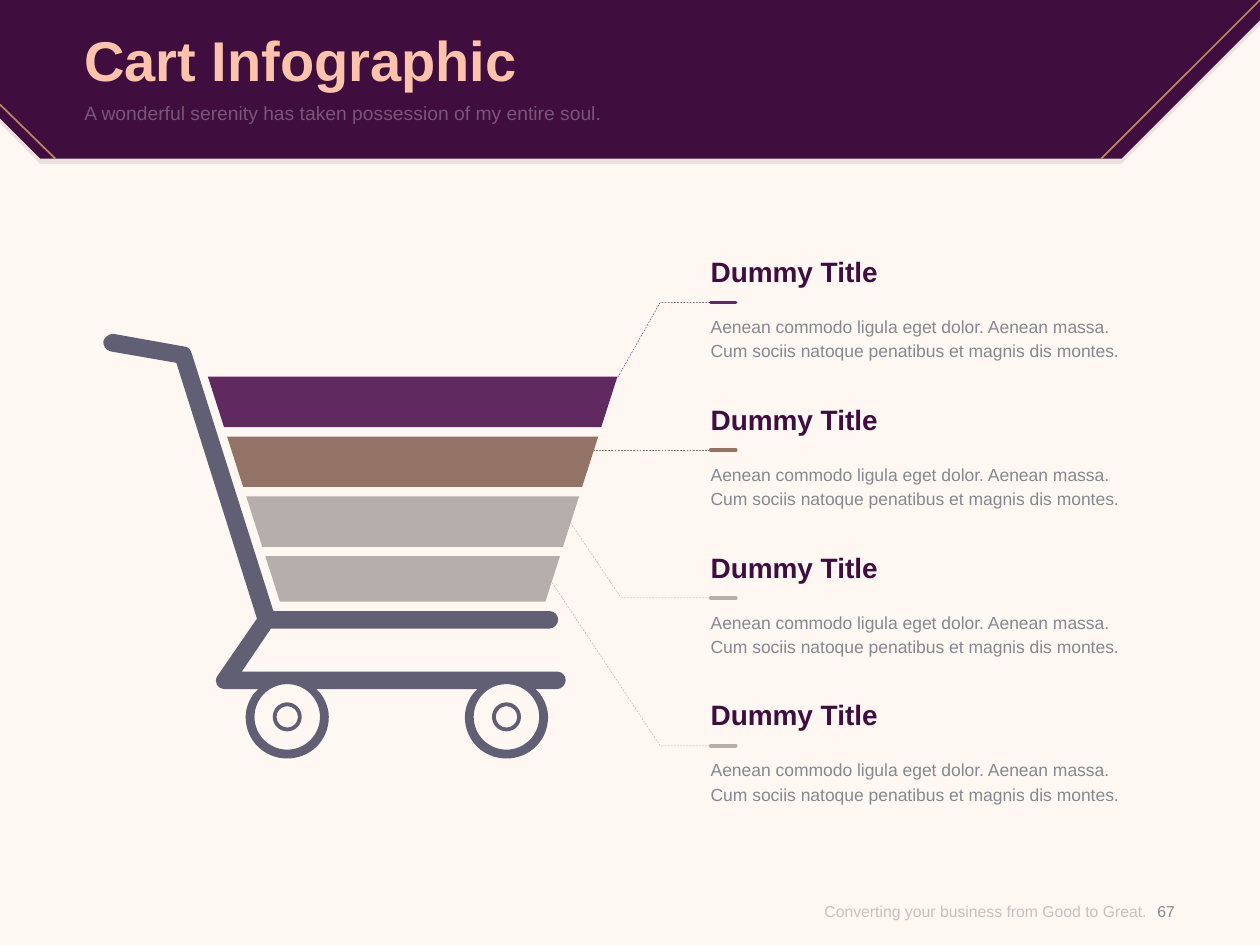
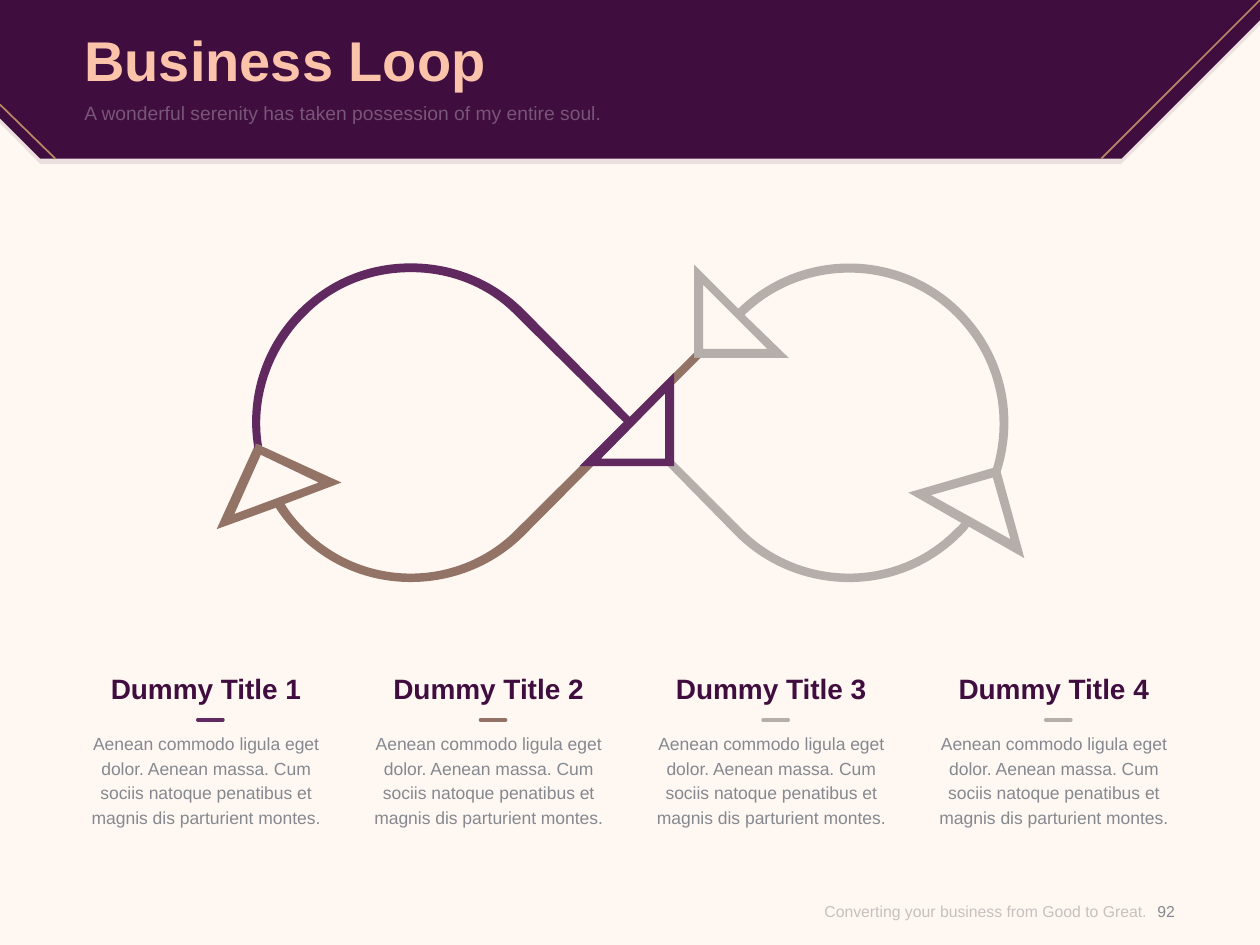
from lxml.etree import SubElement
from pptx import Presentation
from pptx.dml.color import RGBColor as Rgb
from pptx.enum.dml import MSO_LINE as Dash
from pptx.enum.shapes import MSO_CONNECTOR as Conn
from pptx.enum.text import MSO_ANCHOR as Anchor, PP_ALIGN as Align
from pptx.oxml.ns import qn
from pptx.util import Inches, Pt

HUES = {
    "back": "FFF7F2", "dark": "3F0D3E", "peach": "FBC4AA", "gold": "B98763",
    "plum": "602A60", "brown": "927365", "ash": "B6AEAB", "steel": "605F73",
    "text": "85898F", "foot": "8C8C8C", "white": "FFFFFF",
}
TONES = ["plum", "brown", "ash", "ash"]
MOTTO = "A wonderful serenity has taken possession of my entire soul."
SLOGAN = "Converting your business from Good to Great."


def hue(name):
    return Rgb.from_string(HUES[name])


def fade(node, share):
    """Set the opacity, in percent, of the first colour in a node."""
    SubElement(next(node.iter(qn("a:srgbClr"))), qn("a:alpha"), val=str(share * 1000))


def disc(x, y, r):
    """Circle of four curves, from its top."""
    k = 0.55 * r
    return [
        (x, y - r), (x - k, y - r, x - r, y - k, x - r, y),
        (x - r, y + k, x - k, y + r, x, y + r),
        (x + k, y + r, x + r, y + k, x + r, y),
        (x + r, y - k, x + k, y - r, x, y - r),
    ]


def rim(x):
    """Outer edge of the wheel at x, from left to right below the frame."""
    return [
        (x - 0.23, 5.47), (x - 0.29, 5.52, x - 0.33, 5.61, x - 0.33, 5.69),
        (x - 0.33, 5.88, x - 0.18, 6.02, x, 6.02),
        (x + 0.18, 6.02, x + 0.33, 5.88, x + 0.33, 5.69),
        (x + 0.33, 5.61, x + 0.29, 5.52, x + 0.23, 5.47),
    ]


class Deck:
    def __init__(self):
        self.prs = Presentation()
        self.prs.slide_width, self.prs.slide_height = Inches(10), Inches(7.5)
        fill = self.prs.slide_master.background.fill
        fill.solid()
        fill.fore_color.rgb = hue("back")
        self.slide = None

    def start(self, title, page):
        """Open a slide with its band, heading and footer."""
        self.slide = self.prs.slides.add_slide(self.prs.slide_layouts[6])
        # Header band over its pale shade
        for drop, share in ((0.04, 10), (0, 100)):
            band = [(8.9, 1.26), (0.32, 1.26), (0, 0.94), (0, 0), (10, 0), (10, 0.16)]
            self.area([[(x, y + drop) for x, y in band]], "dark", share)
        self.line((10, 0), (8.74, 1.26), "gold", 1)
        self.stroke([(0.44, 1.26), (0, 0.83)], "gold", 1)
        # Heading
        self.text((0.67, 0.14, 8.66, 0.65), [title], 32, "peach", bold=True,
                  anchor=Anchor.MIDDLE)
        self.text((0.67, 0.8, 8.66, 0.39), [MOTTO], 11, "white", share=30)
        # Footer
        self.text((6.04, 6.96, 3.06, 0.54), [SLOGAN], 9, "foot", Align.RIGHT,
                  share=50, anchor=Anchor.MIDDLE)
        self.text((9.02, 6.96, 0.47, 0.54), [str(page)], 9, "text", Align.CENTER,
                  anchor=Anchor.MIDDLE)

    def text(self, place, lines, size, tone, align=Align.LEFT, bold=False,
             share=100, anchor=Anchor.TOP, lead=None):
        frame = self.slide.shapes.add_textbox(*map(Inches, place)).text_frame
        frame.word_wrap, frame.vertical_anchor = True, anchor
        frame.margin_left = frame.margin_right = 0
        frame.margin_top = frame.margin_bottom = 0
        for i, words in enumerate(lines):
            para = frame.add_paragraph() if i else frame.paragraphs[0]
            para.alignment = align
            if lead:
                para.line_spacing = Pt(lead)
            run = para.add_run()
            run.text = words
            run.font.name, run.font.size, run.font.bold = "Arial", Pt(size), bold
            run.font.color.rgb = hue(tone)
            if share < 100:
                fade(run._r, share)

    def trace(self, rings, close):
        """Draw an outline; a step of two numbers is a line, of six a curve."""
        first = rings[0][0]
        pen = self.slide.shapes.build_freeform(Inches(first[0]), Inches(first[1]))
        for i, ring in enumerate(rings):
            if i:
                pen.move_to(*map(Inches, ring[0]))
            points = [(Inches(step[j]), Inches(step[j + 1]))
                      for step in ring[1:] for j in range(0, len(step), 2)]
            pen.add_line_segments(points, close=close)
        shape = pen.convert_to_shape()
        shape.shadow.inherit = False
        # Join each curve's three points into one step
        nodes = iter(list(shape.element.iter(qn("a:lnTo"))))
        for step in (step for ring in rings for step in ring[1:]):
            node = next(nodes)
            if len(step) == 6:
                node.tag = qn("a:cubicBezTo")
                for extra in (next(nodes), next(nodes)):
                    node.append(extra[0])
                    extra.getparent().remove(extra)
        return shape

    def area(self, rings, tone, share=100):
        shape = self.trace(rings, True)
        shape.fill.solid()
        shape.fill.fore_color.rgb = hue(tone)
        shape.line.fill.background()
        if share < 100:
            fade(shape.element, share)

    def stroke(self, points, tone, width, dash=None):
        """Open line through the points."""
        shape = self.trace([points], False)
        shape.fill.background()
        shape.line.color.rgb, shape.line.width = hue(tone), Pt(width)
        if dash:
            shape.line.dash_style = dash

    def line(self, start, end, tone, width, dash=None, cap="flat"):
        link = self.slide.shapes.add_connector(
            Conn.STRAIGHT, *map(Inches, (*start, *end)))
        link.line.color.rgb, link.line.width = hue(tone), Pt(width)
        if dash:
            link.line.dash_style = dash
        props = link.element.spPr
        props.find(qn("a:ln")).set("cap", cap)
        SubElement(props, qn("a:effectLst"))

    def entry(self, x, y, wide, high, title, lines, tone, shift=0, align=Align.LEFT):
        """Body text, short accent bar at height y, and title."""
        self.text((x, y + 0.08, wide, high), lines, 10, "text", align, lead=14)
        self.line((x + shift, y), (x + shift + 0.2, y), tone, 2, cap="rnd")
        self.text((x, y - 0.38, wide, 0.27), [title], 16, "dark", align, bold=True)


def cart(deck):
    deck.start("Cart Infographic", 67)
    rows = [2.4 + 1.173 * i for i in range(4)]

    # Leaders from the layers to the entries
    for row, knee, tip in ((0, 5.24, (4.9, 3)), (2, 4.93, (4.53, 4.15)),
                           (3, 5.24, (4.38, 4.62))):
        deck.stroke([(5.81, rows[row]), (knee, rows[row]), tip], TONES[row],
                    0.25, Dash.DASH)
    deck.line((5.81, rows[1]), (4.71, rows[1]), TONES[1], 0.25, Dash.DASH)

    # Layers in the basket, narrowing downwards
    for i, tone in enumerate(TONES):
        top, inset = 2.99 + 0.475 * i, 0.152 * i
        high = 0.36 if i == 3 else 0.4
        left, right, slant = 1.65 + inset, 4.9 - inset, 0.32 * high
        deck.area([[(right, top), (right - slant, top + high),
                    (left + slant, top + high), (left, top)]], tone)

    # Frame and wheels
    hubs = (2.28, 4.02)
    frame = [
        (4.42, 5.33), (1.92, 5.33), (2.15, 4.99), (4.36, 4.99),
        (4.4, 4.99, 4.43, 4.95, 4.43, 4.92), (4.43, 4.88, 4.4, 4.85, 4.36, 4.85),
        (2.17, 4.85), (1.52, 2.8), (1.51, 2.77, 1.49, 2.75, 1.46, 2.75),
        (0.9, 2.65), (0.86, 2.65, 0.83, 2.68, 0.82, 2.71),
        (0.82, 2.75, 0.84, 2.78, 0.88, 2.79), (1.4, 2.88), (2.04, 4.91),
        (1.73, 5.36), (1.69, 5.41, 1.73, 5.47, 1.78, 5.47),
        *rim(hubs[0]), *rim(hubs[1]), (4.42, 5.47),
        (4.46, 5.47, 4.49, 5.43, 4.49, 5.4), (4.49, 5.36, 4.46, 5.33, 4.42, 5.33),
    ]
    holes = [disc(hub, 5.69, r) for hub in hubs for r in (0.26, 0.115, 0.085)]
    deck.area([frame, *holes], "steel")

    # Entries
    lines = ["Aenean commodo ligula eget dolor. Aenean massa.",
             "Cum sociis natoque penatibus et magnis dis montes."]
    for row, tone in zip(rows, TONES):
        deck.entry(5.64, row, 3.69, 0.39, "Dummy Title", lines, tone)


def loop(deck):
    deck.start("Business Loop", 92)

    # Entries in four columns
    body = ("Aenean commodo ligula eget dolor. Aenean massa. Cum sociis "
            "natoque penatibus et magnis dis parturient montes.")
    for i, tone in enumerate(TONES):
        deck.entry(0.67 + 2.243 * i, 5.713, 1.93, 0.79, f"Dummy Title {i + 1}",
                   [body], tone, 0.9, Align.CENTER)

    # Arrows: each an outline and the hole in its head
    deck.area([
        [(7.93, 3.7), (7.21, 3.91), (7.63, 4.15),
         (7.62, 4.17, 7.6, 4.18, 7.58, 4.2), (7.12, 4.67, 6.36, 4.67, 5.89, 4.2),
         (5.35, 3.66), (5.35, 3.7), (5.3, 3.7), (5.84, 4.25),
         (6.09, 4.5, 6.42, 4.62, 6.74, 4.62), (7.06, 4.62, 7.38, 4.5, 7.63, 4.25),
         (7.65, 4.23, 7.68, 4.2, 7.69, 4.18), (8.13, 4.43)],
        [(7.39, 3.93), (7.88, 3.79), (8.02, 4.28)],
    ], "ash")
    deck.area([
        [(7.63, 2.46), (7.14, 1.97, 6.35, 1.97, 5.86, 2.45),
         (5.51, 2.1), (5.51, 2.84), (6.26, 2.84), (5.91, 2.5),
         (6.37, 2.05, 7.12, 2.05, 7.58, 2.51), (7.9, 2.83, 8.01, 3.29, 7.88, 3.72),
         (7.93, 3.7), (7.94, 3.75), (8.09, 3.29, 7.97, 2.8, 7.63, 2.46)],
        [(6.09, 2.77), (5.58, 2.77), (5.58, 2.26)],
    ], "ash")
    deck.area([
        [(5.51, 2.84), (5.51, 2.8), (4.1, 4.2),
         (3.64, 4.67, 2.88, 4.67, 2.42, 4.2), (2.36, 4.14, 2.3, 4.07, 2.26, 4),
         (2.71, 3.83), (2.03, 3.52), (1.72, 4.2), (2.19, 4.03),
         (2.24, 4.11, 2.3, 4.18, 2.37, 4.25), (2.62, 4.5, 2.94, 4.62, 3.26, 4.62),
         (3.58, 4.62, 3.91, 4.5, 4.16, 4.25), (5.56, 2.84)],
        [(1.86, 4.08), (2.07, 3.61), (2.53, 3.83)],
    ], "brown")
    deck.area([
        [(5, 3.31), (4.16, 2.46), (3.92, 2.22, 3.6, 2.09, 3.26, 2.09),
         (2.92, 2.09, 2.61, 2.22, 2.37, 2.46), (2.08, 2.75, 1.95, 3.16, 2.02, 3.56),
         (2.03, 3.52), (2.08, 3.54), (2.02, 3.17, 2.15, 2.78, 2.42, 2.51),
         (2.64, 2.28, 2.94, 2.16, 3.26, 2.16), (3.58, 2.16, 3.88, 2.28, 4.1, 2.51),
         (4.95, 3.35), (4.6, 3.7), (5.35, 3.7), (5.35, 2.96)],
        [(5.28, 3.64), (4.77, 3.64), (5.28, 3.12)],
    ], "plum")


def main():
    deck = Deck()
    cart(deck)
    loop(deck)
    deck.prs.save("out.pptx")


if __name__ == "__main__":
    main()
